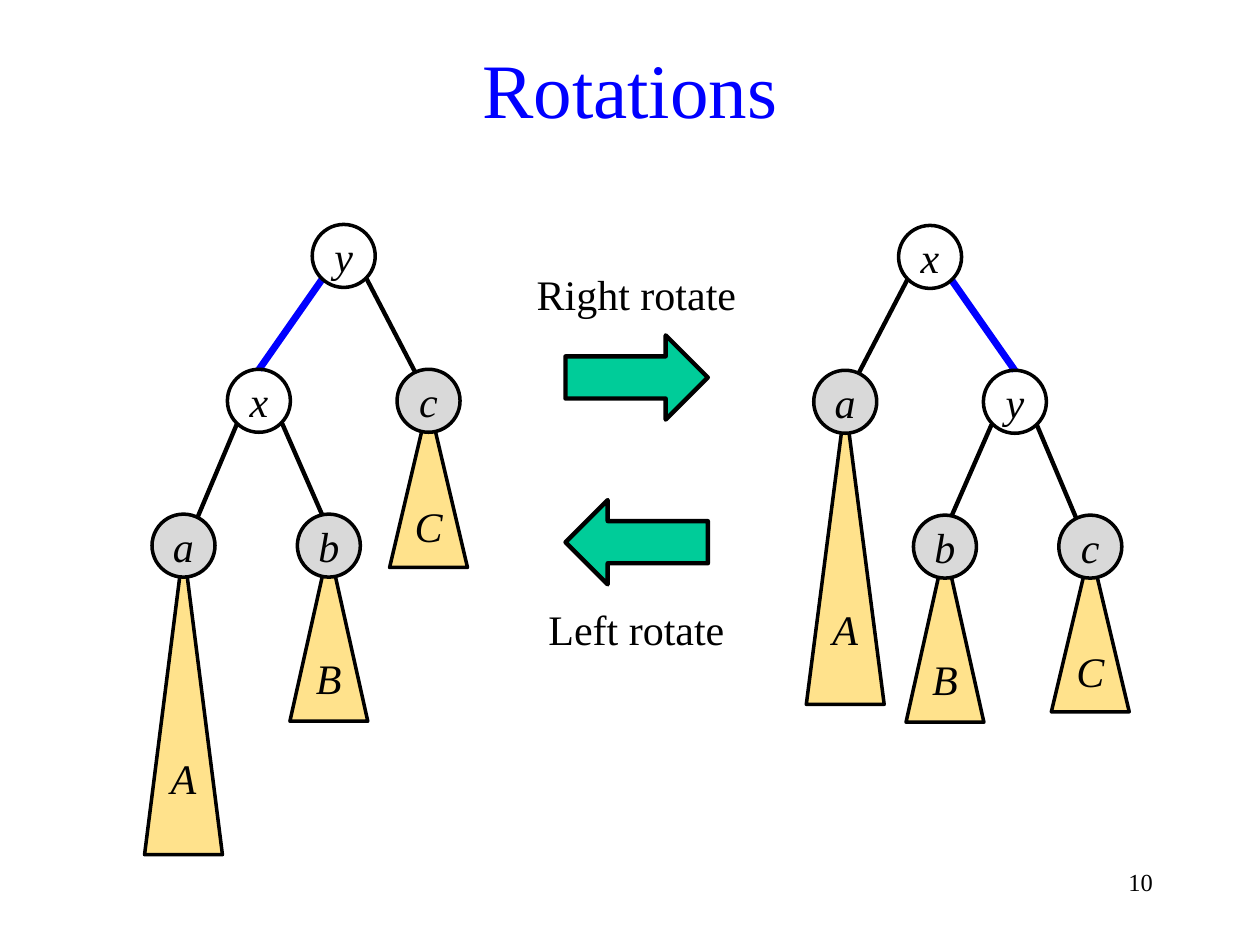
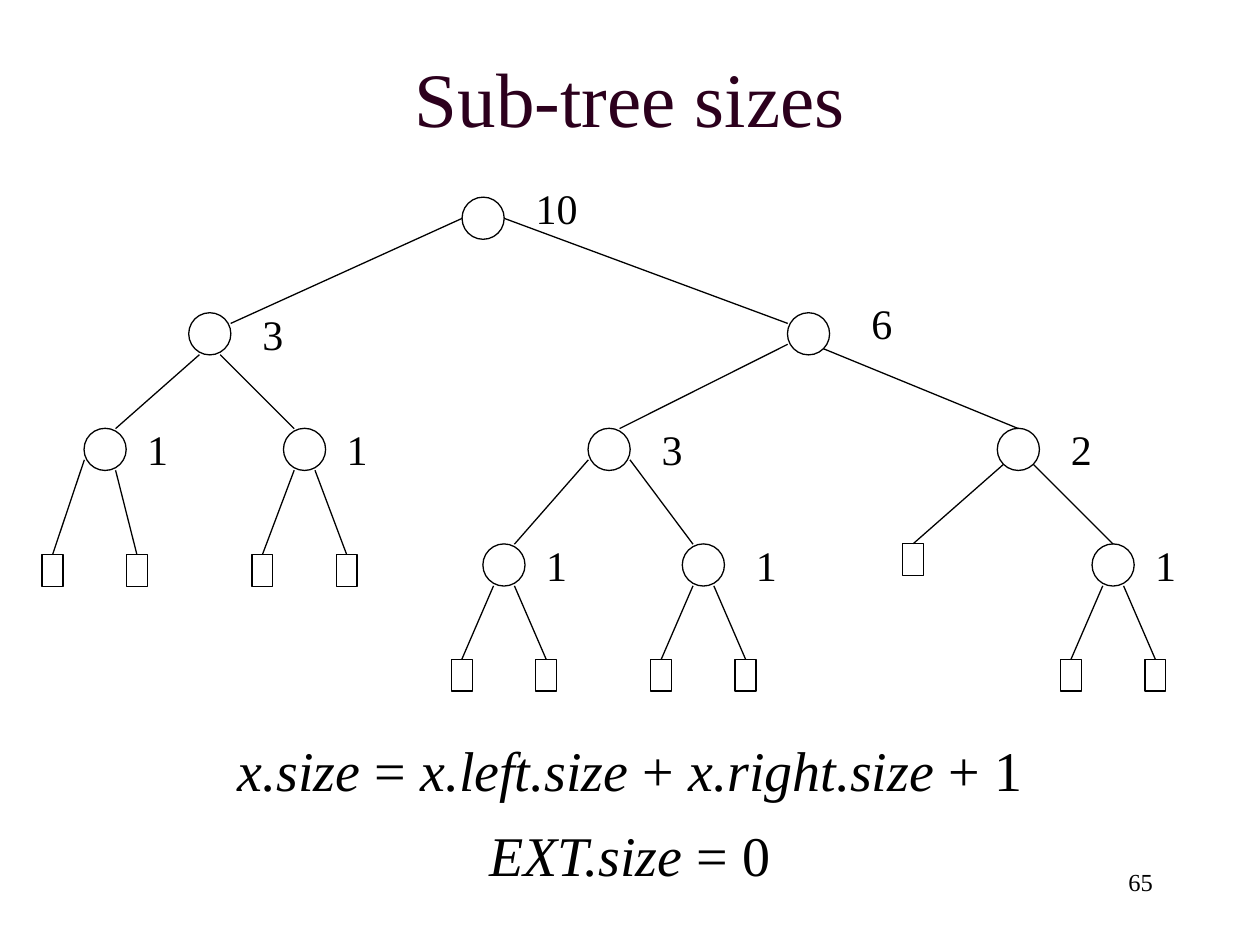
from lxml.etree import SubElement
from pptx import Presentation
from pptx.dml.color import RGBColor
from pptx.enum.shapes import MSO_CONNECTOR as Link, MSO_SHAPE as Shape
from pptx.enum.text import MSO_ANCHOR as Anchor, MSO_AUTO_SIZE as AutoSize, PP_ALIGN as Align
from pptx.oxml.ns import qn
from pptx.util import Cm, Pt

# Shared style
BLACK = RGBColor(0x00, 0x00, 0x00)
BLUE = RGBColor(0x00, 0x00, 0xFF)
PLUM = RGBColor(0x2C, 0x00, 0x1D)
GREEN = RGBColor(0x00, 0xCC, 0x99)
GREY = RGBColor(0xD9, 0xD9, 0xD9)
AMBER = RGBColor(0xFF, 0xC0, 0x00)
FONT = "Times New Roman"
SLIDE_W, SLIDE_H = 25.4, 19.05
LABEL = {"size": Pt(24)}
NODE_LABEL = {"size": Pt(24), "italic": True}
FORMULA = {"size": Pt(32)}
PAGE_NUMBER = {"size": Pt(14)}

# Rotations: positions are offsets from the root centre, mirrored for the second tree
ROTATION_TITLE = {"text": "Rotations", "number": "10", "top": 0.18, "height": 3.18, "color": BLUE}
ROTATION_LEVEL = 2.92
ROTATION_NODE = 1.27
SUBTREE_W = 1.57
# slot: (x, level, is a subtree root)
SLOTS = {
    "root": (0, 0, False),
    "inner": (-1.71, 1, False),
    "outer": (1.71, 1, True),
    "far": (-3.23, 2, True),
    "near": (-0.3, 2, True),
}
ROTATION_EDGES = [
    ((-2.15, 3.38), (-3.2, 5.87), BLACK, 2.5),
    ((-1.24, 3.38), (-0.15, 5.87), BLACK, 2.5),
    ((-0.43, 0.46), (-1.71, 2.29), BLUE, 4),
    ((0.46, 0.46), (1.74, 2.92), BLACK, 2.5),
]
ROTATION_TREES = [
    {"x": 6.93, "y": 5.16, "side": 1,
     "labels": {"root": "y", "inner": "x", "outer": "c", "far": "a", "near": "b"},
     "heights": {"outer": 3.33, "far": 6.2, "near": 3.51}},
    {"x": 18.75, "y": 5.18, "side": -1,
     "labels": {"root": "x", "inner": "y", "outer": "a", "far": "c", "near": "b"},
     "heights": {"outer": 6.07, "far": 3.3, "near": 3.51}},
]
# caption, caption top, arrow top, arrow rotation
ROTATE_ARROWS = [("Right rotate", 5.28, 6.76, 0), ("Left rotate", 12.04, 10.08, 180)]

# Sub-tree sizes
SIZES_TITLE = {"text": "Sub-tree sizes", "number": "65", "top": 0.89, "height": 2.13, "color": PLUM}
SIZE_NODE = 0.85
HALF, QUARTER, DIAGONAL = 0.42, 0.21, 0.3
FIRST_ROW, ROW_STEP = 4.4, 2.33
LEAF_W, LEAF_H = 0.42, 0.64
SHALLOW_LEAF, LONE_LEAF, DEEP_LEAF = 11.18, 10.96, 13.29
# node: (x, row, size, label x offset, label top offset)
SIZE_NODES = {
    "root": (9.74, 0, "10", 1.48, -0.85),
    "L": (4.23, 1, "3", 1.27, -0.64),
    "R": (16.3, 1, "6", 1.48, -0.85),
    "LL": (2.12, 2, "1", 1.06, -0.64),
    "LR": (6.14, 2, "1", 1.06, -0.64),
    "RL": (12.28, 2, "3", 1.27, -0.64),
    "RR": (20.53, 2, "2", 1.27, -0.64),
    "RLL": (10.16, 3, "1", 1.06, -0.64),
    "RLR": (14.18, 3, "1", 1.27, -0.64),
    "RRR": (22.44, 3, "1", 1.06, -0.64),
}
# parent, child, start offset from parent centre, end offset from child centre
SIZE_EDGES = [
    ("root", "L", (-HALF, 0), (HALF, -QUARTER)),
    ("root", "R", (HALF, 0), (-HALF, -QUARTER)),
    ("L", "LL", (-QUARTER, HALF), (QUARTER, -HALF)),
    ("L", "LR", (QUARTER, HALF), (-QUARTER, -HALF)),
    ("R", "RL", (-HALF, QUARTER), (QUARTER, -HALF)),
    ("R", "RR", (DIAGONAL, DIAGONAL), (0, -HALF)),
    ("RL", "RLL", (-HALF, QUARTER), (QUARTER, -HALF)),
    ("RL", "RLR", (HALF, QUARTER), (-QUARTER, -HALF)),
    ("RR", "RRR", (DIAGONAL, DIAGONAL), (0, -HALF)),
]
# parent, leaf x offset, leaf top, edge start offset
LEAVES = [
    ("LL", -1.06, SHALLOW_LEAF, (-HALF, QUARTER)),
    ("LL", 0.64, SHALLOW_LEAF, (QUARTER, HALF)),
    ("RR", -2.12, LONE_LEAF, (-DIAGONAL, DIAGONAL)),
] + [
    (parent, side * 0.85, top, (side * QUARTER, HALF))
    for parent, top in [("LR", SHALLOW_LEAF), ("RLL", DEEP_LEAF),
                        ("RLR", DEEP_LEAF), ("RRR", DEEP_LEAF)]
    for side in (-1, 1)
]
# top, runs as (text, italic)
FORMULAS = [
    (14.71, [("x.size ", True), ("= ", False), ("x.left.size", True), (" + ", False),
             ("x.right.size", True), (" + 1", False)]),
    (16.41, [("EXT.size ", True), ("= 0", False)]),
]


def write(frame, runs, style, color=BLACK, align=Align.CENTER):
    """Fill the first paragraph with (text, format) runs."""
    para = frame.paragraphs[0]
    para.alignment = align
    for text, extra in runs:
        span = para.add_run()
        span.text = text
        for name, value in {"name": FONT, **style, **extra}.items():
            setattr(span.font, name, value)
        span.font.color.rgb = color


def add_text(page, area, runs, style, align=Align.CENTER):
    box = page.shapes.add_textbox(*map(Cm, area))
    box.text_frame.word_wrap = True
    write(box.text_frame, runs, style, align=align)


def add_form(page, kind, area, weight, fill=None, label=None, inset=None):
    form = page.shapes.add_shape(kind, *map(Cm, area))
    form.shadow.inherit = False
    form.line.color.rgb, form.line.width = BLACK, Pt(weight)
    if fill is None:
        form.fill.background()
    else:
        form.fill.solid()
        form.fill.fore_color.rgb = fill
    if label:
        frame = form.text_frame
        frame.word_wrap, frame.vertical_anchor = False, Anchor.MIDDLE
        if inset is not None:
            for side in ("left", "right", "top", "bottom"):
                setattr(frame, f"margin_{side}", Cm(inset))
        write(frame, [(label, {})], NODE_LABEL)
    return form


def add_edge(page, start, end, weight, color=BLACK):
    edge = page.shapes.add_connector(Link.STRAIGHT, *map(Cm, (*start, *end)))
    edge.line.color.rgb, edge.line.width = color, Pt(weight)
    SubElement(edge._element.spPr, qn("a:effectLst"))


def set_opacity(form, percent):
    color = form._element.spPr.find(qn("a:solidFill"))[0]
    SubElement(color, qn("a:alpha")).set("val", str(percent * 1000))


def circle_area(x, y, size):
    return x - size / 2, y - size / 2, size, size


def shift(point, offset):
    return point[0] + offset[0], point[1] + offset[1]


def add_page(deck, heading):
    page = deck.slides.add_slide(deck.slide_layouts[5])
    title = page.shapes.title
    title.left, title.top = Cm(0), Cm(heading["top"])
    title.width, title.height = Cm(SLIDE_W), Cm(heading["height"])
    frame = title.text_frame
    frame.auto_size, frame.vertical_anchor = AutoSize.NONE, Anchor.MIDDLE
    write(frame, [(heading["text"], {})], {"size": Pt(44)}, heading["color"])
    add_text(page, (18.21, 17.35, 5.28, 1.27), [(heading["number"], {})], PAGE_NUMBER, Align.RIGHT)
    return page


def add_rotation_tree(page, tree):
    def place(x, y):
        return tree["x"] + tree["side"] * x, tree["y"] + y

    # Subtrees, then edges, then the nodes that cover their ends
    for slot, height in tree["heights"].items():
        x, level, _ = SLOTS[slot]
        centre, top = place(x, level * ROTATION_LEVEL)
        area = (centre - SUBTREE_W / 2, top + 0.03, SUBTREE_W, height)
        triangle = add_form(page, Shape.ISOSCELES_TRIANGLE, area, 2, AMBER,
                            tree["labels"][slot].upper())
        set_opacity(triangle, 45)
    for start, end, color, weight in ROTATION_EDGES:
        add_edge(page, place(*start), place(*end), weight, color)
    for slot, (x, level, is_subtree) in SLOTS.items():
        area = circle_area(*place(x, level * ROTATION_LEVEL), ROTATION_NODE)
        add_form(page, Shape.OVAL, area, 2, GREY if is_subtree else None,
                 tree["labels"][slot], inset=0)


def build_rotations(deck):
    page = add_page(deck, ROTATION_TITLE)
    for caption, caption_top, arrow_top, rotation in ROTATE_ARROWS:
        arrow = add_form(page, Shape.RIGHT_ARROW, (11.4, arrow_top, 2.87, 1.7), 2.5, GREEN)
        arrow.rotation = rotation
        add_text(page, (10.57, caption_top, 4.52, 1.27), [(caption, {})], LABEL)
    for tree in ROTATION_TREES:
        add_rotation_tree(page, tree)


def build_sizes(deck):
    page = add_page(deck, SIZES_TITLE)
    centres = {name: (x, FIRST_ROW + row * ROW_STEP)
               for name, (x, row, *_) in SIZE_NODES.items()}

    # Inner nodes with their sizes
    for name, (*_, size, label_x, label_y) in SIZE_NODES.items():
        x, y = centres[name]
        add_form(page, Shape.OVAL, circle_area(x, y, SIZE_NODE), 0.75)
        add_text(page, (x + label_x - 0.85, y + label_y, 1.7, 1.27), [(size, {})], LABEL)
    for parent, child, start, end in SIZE_EDGES:
        add_edge(page, shift(centres[parent], start), shift(centres[child], end), 0.75)

    # External leaves
    for parent, offset, top, start in LEAVES:
        x = centres[parent][0] + offset
        add_form(page, Shape.RECTANGLE, (x - LEAF_W / 2, top, LEAF_W, LEAF_H), 0.75)
        add_edge(page, shift(centres[parent], start), (x, top), 0.75)

    # Formulas
    for top, parts in FORMULAS:
        runs = [(text, {"italic": italic}) for text, italic in parts]
        add_text(page, (0, top, SLIDE_W, 1.63), runs, FORMULA)


def main():
    deck = Presentation()
    deck.slide_width, deck.slide_height = Cm(SLIDE_W), Cm(SLIDE_H)
    build_rotations(deck)
    build_sizes(deck)
    deck.save("out.pptx")


if __name__ == "__main__":
    main()
